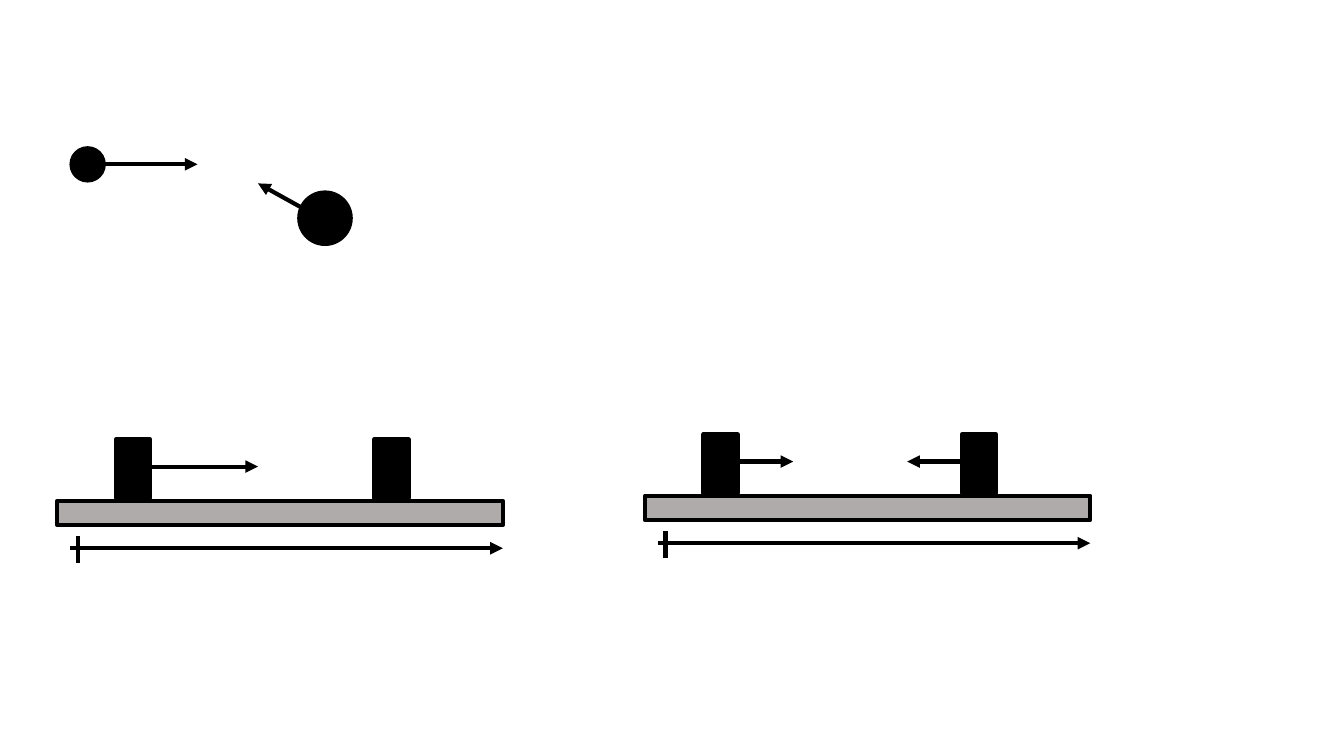
"""Draw colliding balls and two tracks with sliding blocks."""
from lxml import etree
from pptx import Presentation
from pptx.dml.color import RGBColor
from pptx.enum import shapes as kinds
from pptx.oxml import ns
from pptx.util import Pt

BLACK = RGBColor(0, 0, 0)
GRAY = RGBColor(0xAF, 0xAB, 0xAB)
STROKE = 3
TRACK = 318.2
BLOCK = 24.5
BLOCKS = (41.8, 226.4)


def solid(group, kind, left, top, width, height, color=BLACK):
    """Add a filled shape with a black outline."""
    shape = group.shapes.add_shape(kind, Pt(left), Pt(top), Pt(width), Pt(height))
    shape.shadow.inherit = False
    shape.fill.solid()
    shape.fill.fore_color.rgb = color
    shape.line.color.rgb = BLACK
    shape.line.width = Pt(STROKE)


def ball(group, left, top, size):
    """Add a black ball."""
    solid(group, kinds.MSO_SHAPE.OVAL, left, top, size, size)


def line(group, x1, y1, x2, y2, arrow=True):
    """Add a straight line, with an arrowhead at its end if wanted."""
    link = group.shapes.add_connector(
        kinds.MSO_CONNECTOR.STRAIGHT, Pt(x1), Pt(y1), Pt(x2), Pt(y2))
    link.line.color.rgb = BLACK
    link.line.width = Pt(STROKE)
    if arrow:
        stroke = link.line.fill._xPr
        etree.SubElement(stroke, ns.qn("a:tailEnd"), type="triangle")
    etree.SubElement(link._element.spPr, ns.qn("a:effectLst"))


def track(slide, left, top, moves):
    """Add a track with two blocks, an axis and arrows as (start, end) offsets."""
    group = slide.shapes.add_group_shape()
    rect = kinds.MSO_SHAPE.RECTANGLE
    solid(group, rect, left, top, TRACK, 17.3, GRAY)
    for shift in BLOCKS:
        solid(group, rect, left + shift, top - 43.9, BLOCK, 41.8)
    for start, end in moves:
        line(group, left + start, top - 24.5, left + end, top - 24.5)
    line(group, left + 9.2, top + 33.8, left + TRACK, top + 33.8)
    line(group, left + 14.8, top + 44.5, left + 14.8, top + 25.2, arrow=False)


def balls(slide):
    """Add the two balls moving towards each other."""
    group = slide.shapes.add_group_shape()
    ball(group, 51.1, 105.9, 23)
    ball(group, 213.8, 137.5, 36.7)
    line(group, 74.2, 117.4, 141.1, 117.4)
    line(group, 216.7, 149, 184.3, 131)


def main():
    """Build and save the slide."""
    deck = Presentation()
    deck.slide_width, deck.slide_height = Pt(960), Pt(540)
    slide = deck.slides.add_slide(deck.slide_layouts[6])
    first, second = BLOCKS
    side = first + BLOCK
    balls(slide)
    track(slide, 41, 357.8, [(side, 143.3)])
    track(slide, 460.6, 354.2, [(side, 106), (second, 187.4)])
    deck.save("out.pptx")


if __name__ == "__main__":
    main()
